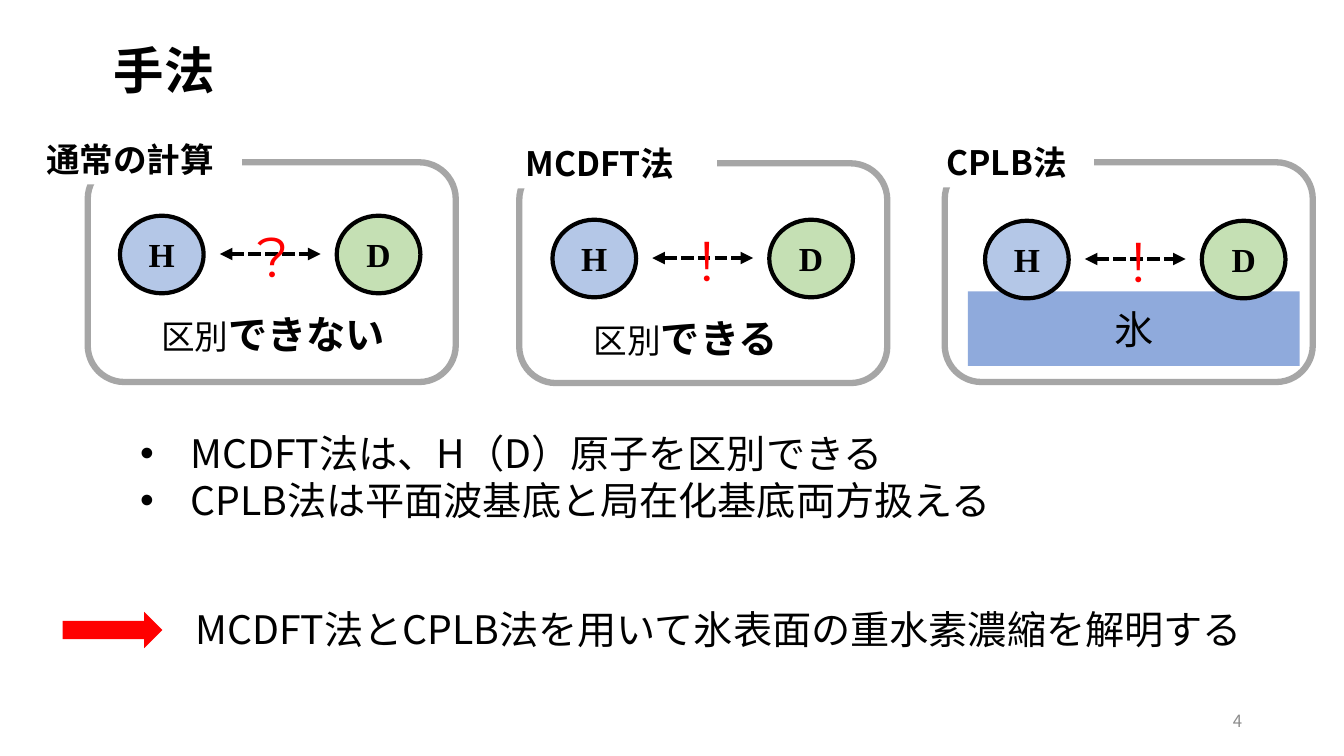
from lxml.etree import SubElement
from pptx import Presentation
from pptx.dml.color import RGBColor
from pptx.enum.dml import MSO_LINE
from pptx.enum.shapes import MSO_CONNECTOR, MSO_SHAPE
from pptx.enum.text import MSO_ANCHOR, MSO_AUTO_SIZE, PP_ALIGN
from pptx.oxml.ns import qn
from pptx.util import Inches, Pt

SANS, SERIF, MARK = "Noto Sans CJK JP", "Times New Roman", "Montserrat"
BLACK, WHITE, RED, GREY = "000000", "FFFFFF", "FF0000", "A6A6A6"
LEFT, MID, RIGHT = PP_ALIGN.LEFT, PP_ALIGN.CENTER, PP_ALIGN.RIGHT


def paint(target, color):
    target.rgb = RGBColor.from_string(color)


def write(shape, *paras, size=28, font=SANS, color=BLACK, bold=False,
          align=LEFT, anchor=MSO_ANCHOR.TOP, wrap=True, bullet=False):
    """Each paragraph is a string or a list of (text, size, bold) runs."""
    frame = shape.text_frame
    frame.auto_size = MSO_AUTO_SIZE.NONE
    frame.word_wrap, frame.vertical_anchor = wrap, anchor
    for i, runs in enumerate(paras):
        para = frame.add_paragraph() if i else frame.paragraphs[0]
        para.alignment = align
        if bullet:
            props = para._p.get_or_add_pPr()
            props.set("marL", str(Inches(0.5)))
            props.set("indent", str(-Inches(0.5)))
            SubElement(props, qn("a:buFont"), typeface="Arial")
            SubElement(props, qn("a:buChar"), char="•")
        if isinstance(runs, str):
            runs = [(runs, size, bold)]
        for text, points, heavy in runs:
            run = para.add_run()
            run.text = text
            run.font.size, run.font.bold = Pt(points), heavy
            run.font.name = font
            paint(run.font.color, color)
            SubElement(run._r.get_or_add_rPr(), qn("a:ea"), typeface=font)


def box(slide, x, y, w, h, *paras, **style):
    shape = slide.shapes.add_textbox(*map(Inches, (x, y, w, h)))
    write(shape, *paras, **style)


def draw(slide, kind, x, y, w, h, fill=None, line=None, width=3):
    shape = slide.shapes.add_shape(kind, *map(Inches, (x, y, w, h)))
    shape.shadow.inherit = False
    if fill:
        shape.fill.solid()
        paint(shape.fill.fore_color, fill)
    else:
        shape.fill.background()
    if line:
        paint(shape.line.color, line)
        shape.line.width = Pt(width)
    else:
        shape.line.fill.background()
    return shape


def link(slide, x, y, length):
    line = slide.shapes.add_connector(
        MSO_CONNECTOR.STRAIGHT, *map(Inches, (x, y, x + length, y)))
    paint(line.line.color, BLACK)
    line.line.width = Pt(3)
    line.line.dash_style = MSO_LINE.SQUARE_DOT
    edge = line.line._get_or_add_ln()
    for end in ("a:headEnd", "a:tailEnd"):
        SubElement(edge, qn(end), type="triangle")
    SubElement(line._element.spPr, qn("a:effectLst"))


def pair(slide, x, y, mark, shift):
    """H and D atoms joined by a dashed arrow with a mark on it."""
    for name, step, fill in (("H", 0, "B4C7E7"), ("D", 2.15, "C5E0B4")):
        atom = draw(slide, MSO_SHAPE.FLOWCHART_CONNECTOR, x + step, y,
                    0.83, 0.77, fill, BLACK)
        write(atom, name, size=24, font=SERIF, bold=True, align=MID,
              anchor=MSO_ANCHOR.MIDDLE)
    link(slide, x + 0.99, y + 0.38, 1)
    box(slide, x + shift, y + 0.01, 0.68, 0.77, mark, size=40, font=MARK,
        color=RED)


def panel(slide, x, y, label, tag, atoms, mark, shift, note=None, ice=None):
    """Frame at x, y; the tag box (dx, dy, width) and atoms are relative."""
    draw(slide, MSO_SHAPE.ROUNDED_RECTANGLE, x, y, 3.65, 2.18,
         line=GREY, width=4.5)
    dx, dy, width = tag
    name = draw(slide, MSO_SHAPE.ROUNDED_RECTANGLE, x + dx, y + dy,
                width, 0.5, WHITE)
    write(name, label, size=24, bold=True, align=MID,
          anchor=MSO_ANCHOR.MIDDLE)
    if ice:
        slab = draw(slide, MSO_SHAPE.RECTANGLE, x + 0.23, y + 1.28,
                    3.29, 0.74, "8FAADC")
        write(slab, ice, align=MID, anchor=MSO_ANCHOR.MIDDLE)
    left, top = x + atoms[0], y + atoms[1]
    pair(slide, left, top, mark, shift)
    if note:
        box(slide, left + 0.31, top + 0.89, 2.54, 0.57,
            [("区別", 24, False), (note, 28, True)])


def head(slide, x, y, w, h):
    title = slide.shapes.title
    title.left, title.top, title.width, title.height = map(
        Inches, (x, y, w, h))
    write(title, "手法", size=36, bold=True, wrap=False)


def finish(slide, x, y):
    """Red arrow and the conclusion beside it."""
    draw(slide, MSO_SHAPE.RIGHT_ARROW, x, y + 0.11, 0.99, 0.36, RED)
    box(slide, x + 1.22, y, 11.18, 0.57,
        "MCDFT法とCPLB法を用いて氷表面の重水素濃縮を解明する")


deck = Presentation()
deck.slide_width, deck.slide_height = Inches(13.33), Inches(7.5)
page = deck.slides.add_slide(deck.slide_layouts[5])
head(page, 1.03, 0.34, 1.21, 0.71)

# Three methods
panel(page, 0.87, 1.61, "通常の計算", (-0.69, -0.28, 2.22), (0.32, 0.53),
      "?", 1.26, note="できない")
panel(page, 5.15, 1.62, "MCDFT法", (-0.36, -0.25, 2.32), (0.33, 0.56),
      "!", 1.36, note="できる")
panel(page, 9.37, 1.61, "CPLB法", (-0.25, -0.25, 1.73), (0.4, 0.58),
      "!", 1.35, ice="氷")

# Key points, conclusion and page number
box(page, 1.29, 4.21, 10.71, 1.04, "MCDFT法は、H（D）原子を区別できる",
    "CPLB法は平面波基底と局在化基底両方扱える", bullet=True)
finish(page, 0.62, 5.96)
box(page, 9.42, 6.95, 3, 0.4, "4", size=12, color="8C8C8C", align=RIGHT,
    anchor=MSO_ANCHOR.MIDDLE)

deck.save("out.pptx")
